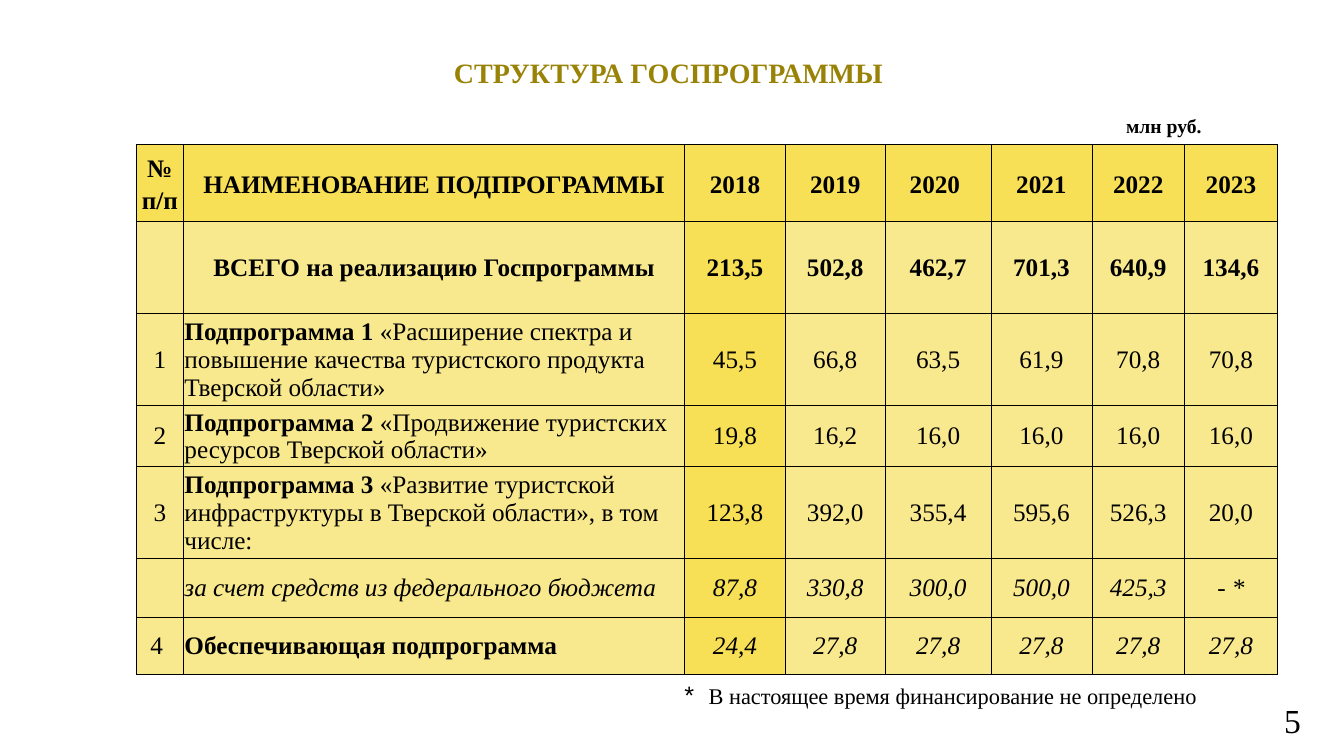
import dataclasses

import lxml.etree
import pptx
import pptx.dml.color
import pptx.enum.text
import pptx.oxml.ns
import pptx.util

Inches = pptx.util.Inches
ALIGN = pptx.enum.text.PP_ALIGN
MIDDLE = pptx.enum.text.MSO_ANCHOR.MIDDLE
qn = pptx.oxml.ns.qn


@dataclasses.dataclass(frozen=True)
class Theme:
    """Fonts, colours and type sizes of the slide."""
    font: str = "Times New Roman"
    mark_font: str = "Arial"
    title: str = "998307"
    ink: str = "000000"
    strong: str = "F7DF56"
    pale: str = "F9E98E"
    title_size: int = 20
    body_size: int = 18
    note_size: int = 16
    unit_size: int = 14
    number_size: int = 24


THEME = Theme()
COLUMNS = (0.47, 4.97, 1, 0.99, 1.05, 1, 0.92, 0.92)
ROWS = (0.77, 0.91, 0.91, 0.59, 0.88, 0.58, 0.57)
HEADER = ("№ п/п", "НАИМЕНОВАНИЕ ПОДПРОГРАММЫ", "2018", "2019", "2020 ", "2021", "2022", "2023")


@dataclasses.dataclass(frozen=True)
class Programme:
    """One budget row: its number, name and yearly values."""
    number: str
    lead: str
    rest: str
    values: str
    bold: bool = False
    italic: bool = False


PROGRAMMES = (
    Programme("", "ВСЕГО на реализацию Госпрограммы", "",
              "213,5|502,8|462,7|701,3|640,9|134,6", bold=True),
    Programme("1", "Подпрограмма 1",
              " «Расширение спектра и повышение качества туристского продукта Тверской области»",
              "45,5|66,8|63,5|61,9|70,8|70,8"),
    Programme("2", "Подпрограмма 2", " «Продвижение туристских ресурсов Тверской области»",
              "19,8|16,2|16,0|16,0|16,0|16,0"),
    Programme("3", "Подпрограмма 3",
              " «Развитие туристской инфраструктуры в Тверской области», в том числе:",
              "123,8|392,0|355,4|595,6|526,3|20,0"),
    Programme("", "", "за счет средств из федерального бюджета",
              "87,8|330,8|300,0|500,0|425,3|- *", italic=True),
    Programme("4 ", "Обеспечивающая подпрограмма", "",
              "24,4|27,8|27,8|27,8|27,8|27,8", italic=True),
)


def add_run(p, text, size, bold=False, italic=False, color=THEME.ink, font=THEME.font):
    """Append a formatted run to a paragraph."""
    r = p.add_run()
    r.text = text
    r.font.name = font
    r.font.size = pptx.util.Pt(size)
    r.font.bold = bold
    r.font.italic = italic
    r.font.color.rgb = pptx.dml.color.RGBColor.from_string(color)


def add_box(slide, box):
    """Add a wrapping text box and return its first paragraph."""
    tf = slide.shapes.add_textbox(*map(Inches, box)).text_frame
    tf.word_wrap = True
    return tf.paragraphs[0]


def add_title(slide, box, text):
    """Place and format the title placeholder."""
    sp = slide.shapes.title
    sp.left, sp.top, sp.width, sp.height = map(Inches, box)
    sp.text_frame.vertical_anchor = MIDDLE
    p = sp.text_frame.paragraphs[0]
    p.alignment = ALIGN.CENTER
    add_run(p, text, THEME.title_size, bold=True, color=THEME.title)


def style_cell(cell, fill, margins):
    """Give a cell thin borders, a fill, margins and middle anchoring."""
    tc_pr = cell._tc.get_or_add_tcPr()
    for side in ("a:lnL", "a:lnR", "a:lnT", "a:lnB"):
        ln = lxml.etree.SubElement(tc_pr, qn(side), w=str(pptx.util.Pt(0.5)))
        solid = lxml.etree.SubElement(ln, qn("a:solidFill"))
        lxml.etree.SubElement(solid, qn("a:srgbClr"), val=THEME.ink)
    cell.fill.solid()
    cell.fill.fore_color.rgb = pptx.dml.color.RGBColor.from_string(fill)
    cell.margin_left, cell.margin_top, cell.margin_right, cell.margin_bottom = map(Inches, margins)
    cell.vertical_anchor = MIDDLE


def fill_header(cells):
    """Fill the heading row."""
    for cell, text in zip(cells, HEADER):
        style_cell(cell, THEME.strong, (0.03, 0, 0.03, 0))
        p = cell.text_frame.paragraphs[0]
        p.alignment = ALIGN.CENTER
        p.line_spacing = 1.15
        add_run(p, text, THEME.body_size, bold=True)


def fill_programme(cells, item):
    """Fill one budget row."""
    parts = [[(item.number, False, False)],
             [(item.lead, True, False), (item.rest, False, item.italic)]]
    parts += [[(value, item.bold, item.italic)] for value in item.values.split("|")]
    for col, (cell, runs) in enumerate(zip(cells, parts)):
        style_cell(cell, THEME.strong if col == 2 else THEME.pale, (0.01, 0.01, 0.01, 0))
        p = cell.text_frame.paragraphs[0]
        p.alignment = ALIGN.LEFT if col == 1 and not item.bold else ALIGN.CENTER
        for text, bold, italic in runs:
            if text:
                add_run(p, text, THEME.body_size, bold, italic)


def add_budget_table(slide, left, top):
    """Add the table of subprogrammes by year."""
    frame = slide.shapes.add_table(len(ROWS), len(COLUMNS), Inches(left), Inches(top),
                                   Inches(sum(COLUMNS)), Inches(sum(ROWS)))
    table = frame.table
    table.first_row = table.horz_banding = False
    for column, width in zip(table.columns, COLUMNS):
        column.width = Inches(width)
    for row, height in zip(table.rows, ROWS):
        row.height = Inches(height)
    header, *body = table.rows
    fill_header(header.cells)
    for row, item in zip(body, PROGRAMMES):
        fill_programme(row.cells, item)


def add_unit(slide, box, text):
    """Add the unit of measure above the table."""
    add_run(add_box(slide, box), text, THEME.unit_size, bold=True)


def add_footnote(slide, box, text):
    """Add the asterisk note with a tab after its mark."""
    p = add_box(slide, box)
    tabs = lxml.etree.SubElement(p._p.get_or_add_pPr(), qn("a:tabLst"))
    lxml.etree.SubElement(tabs, qn("a:tab"), pos=str(Inches(0.24)), algn="l")
    add_run(p, "*\t", THEME.body_size, font=THEME.mark_font)
    add_run(p, text, THEME.note_size)


def add_page_number(slide, box, text):
    """Add the page number in the corner."""
    p = add_box(slide, box)
    p.alignment = ALIGN.RIGHT
    add_run(p, text, THEME.number_size)


def main():
    """Build and save the slide."""
    prs = pptx.Presentation()
    prs.slide_width, prs.slide_height = Inches(13.33), Inches(7.5)
    slide = prs.slides.add_slide(prs.slide_layouts[5])
    add_title(slide, (1.34, 0.34, 10.58, 0.75), "СТРУКТУРА ГОСПРОГРАММЫ")
    add_page_number(slide, (12.57, 6.89, 0.43, 0.52), "5")
    add_budget_table(slide, 1.35, 1.43)
    add_unit(slide, (11.07, 1.08, 1.13, 0.34), "млн руб.")
    add_footnote(slide, (6.69, 6.69, 5.38, 0.4), "В настоящее время финансирование не определено")
    prs.save("out.pptx")


if __name__ == "__main__":
    main()
